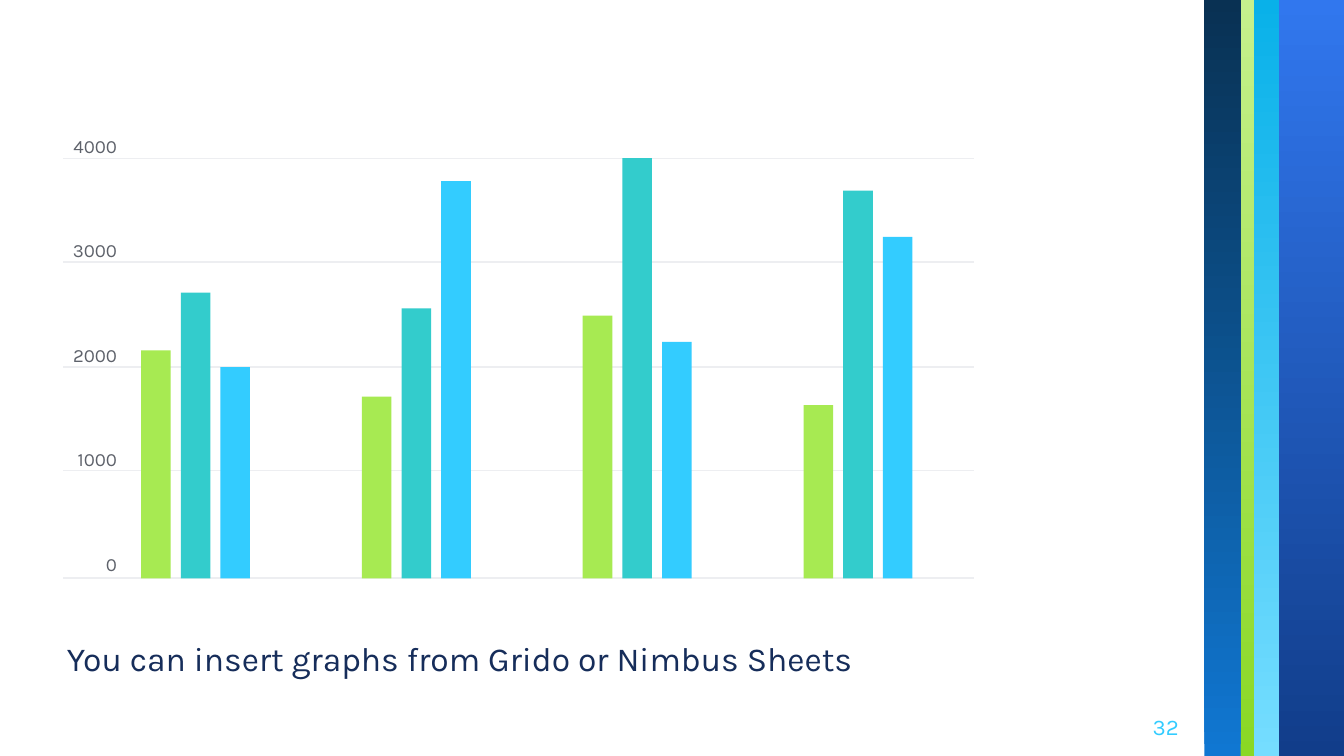
from lxml import etree
from pptx import Presentation
from pptx import util as u
from pptx.dml.color import RGBColor
from pptx.enum import shapes, text
from pptx.oxml.ns import qn

NAVY = RGBColor(0x16, 0x2D, 0x5A)
GRAY = RGBColor(0x5E, 0x62, 0x6B)
RULE = RGBColor(0xED, 0xEE, 0xF1)
LIME = RGBColor(0xA7, 0xEA, 0x52)
TEAL = RGBColor(0x33, 0xCC, 0xCC)
SKY = RGBColor(0x33, 0xCC, 0xFF)
BLUES = RGBColor(0x31, 0x77, 0xEE), RGBColor(0x11, 0x3D, 0x8A)
CYANS = RGBColor(0x75, 0xDD, 0xFF), RGBColor(0x09, 0xB1, 0xE9)
LIMES = RGBColor(0xC6, 0xF1, 0x8D), RGBColor(0x8A, 0xD8, 0x24)
DEEPS = RGBColor(0x10, 0x77, 0xD2), RGBColor(0x09, 0x31, 0x53)

WIDE, HIGH = u.Inches(10), u.Inches(5.625)
COLS, ROWS = 100, 56.25

STRIPES = [(95.1, 4.9, BLUES, 0), (93.2, 2, CYANS, 180),
           (92.3, 1, LIMES, 0), (89.6, 2.7, DEEPS, 180)]
GROUPS = [(2170, 2720, 2010), (1730, 2570, 3780),
          (2500, 4000, 2250), (1650, 3690, 3250)]
TICKS = [4000, 3000, 2000, 1000, 0]
LINES = [11.8, 19.5, 27.3, 35, 43]
BASE, PEAK = 43.04, 31.28


class Deck:
    """Holds the font and the current slide; lengths are grid columns and rows."""

    def __init__(self, prs, font):
        self.font = font
        self.slide = prs.slides.add_slide(prs.slide_layouts[6])

    def grid(self, x, y, w, h):
        col, row = WIDE / COLS, HIGH / ROWS
        return int(x * col), int(y * row), int(w * col), int(h * row)

    def rect(self, x, y, w, h, color=None, fade=None, turn=0):
        box = self.slide.shapes.add_shape(
            shapes.MSO_SHAPE.RECTANGLE, *self.grid(x, y, w, h))
        box.shadow.inherit = False
        box.line.fill.background()
        box.rotation = turn
        if fade:
            box.fill.gradient()
            box.fill.gradient_angle = 270
            for stop, tone in zip(box.fill.gradient_stops, fade):
                stop.color.rgb = tone
        else:
            box.fill.solid()
            box.fill.fore_color.rgb = color

    def rule(self, x, y, w, color):
        left, top, span, _ = self.grid(x, y, w, 0)
        line = self.slide.shapes.add_connector(
            shapes.MSO_CONNECTOR.STRAIGHT, left, top, left + span, top)
        line.line.color.rgb = color
        line.line.width = u.Pt(0.75)
        etree.SubElement(line._element.spPr, qn("a:effectLst"))

    def text(self, x, y, w, h, *paras, size, color, inset=0.1, gap=0,
             align=text.PP_ALIGN.LEFT, anchor=text.MSO_ANCHOR.TOP):
        box = self.slide.shapes.add_textbox(*self.grid(x, y, w, h))
        frame = box.text_frame
        frame.word_wrap = True
        frame.vertical_anchor = anchor
        frame.margin_left = frame.margin_right = u.Inches(inset)
        frame.margin_top = frame.margin_bottom = u.Inches(inset)
        for i, words in enumerate(paras):
            para = frame.add_paragraph() if i else frame.paragraphs[0]
            para.alignment = align
            if i:
                para.space_before = u.Pt(gap)
            run = para.add_run()
            run.text = words
            run.font.name = self.font
            run.font.size = u.Pt(size)
            run.font.color.rgb = color


def main():
    prs = Presentation()
    prs.slide_width, prs.slide_height = WIDE, HIGH
    deck = Deck(prs, "Karla")
    right = text.PP_ALIGN.RIGHT

    for x, w, fade, turn in STRIPES:
        deck.rect(x, 0, w, ROWS, fade=fade, turn=turn)

    deck.text(4, 46.5, 79.2, 5.7,
              "You can insert graphs from Grido or Nimbus Sheets",
              size=18, color=NAVY)
    deck.text(82.7, 51.9, 6, 4.3, "32", size=12, color=SKY,
              align=right, anchor=text.MSO_ANCHOR.MIDDLE)

    for y in LINES:
        deck.rule(4.7, y, 67.8, RULE)
    deck.text(4.7, 10, 4, 33.1, *map(str, TICKS), size=10, color=GRAY,
              inset=0, gap=44, align=right)

    for i, group in enumerate(GROUPS):
        for j, (value, color) in enumerate(zip(group, (LIME, TEAL, SKY))):
            high = PEAK * value / TICKS[0]
            deck.rect(10.5 + 16.43 * i + 2.95 * j, BASE - high,
                      2.2, high, color)

    prs.save("out.pptx")


if __name__ == "__main__":
    main()
